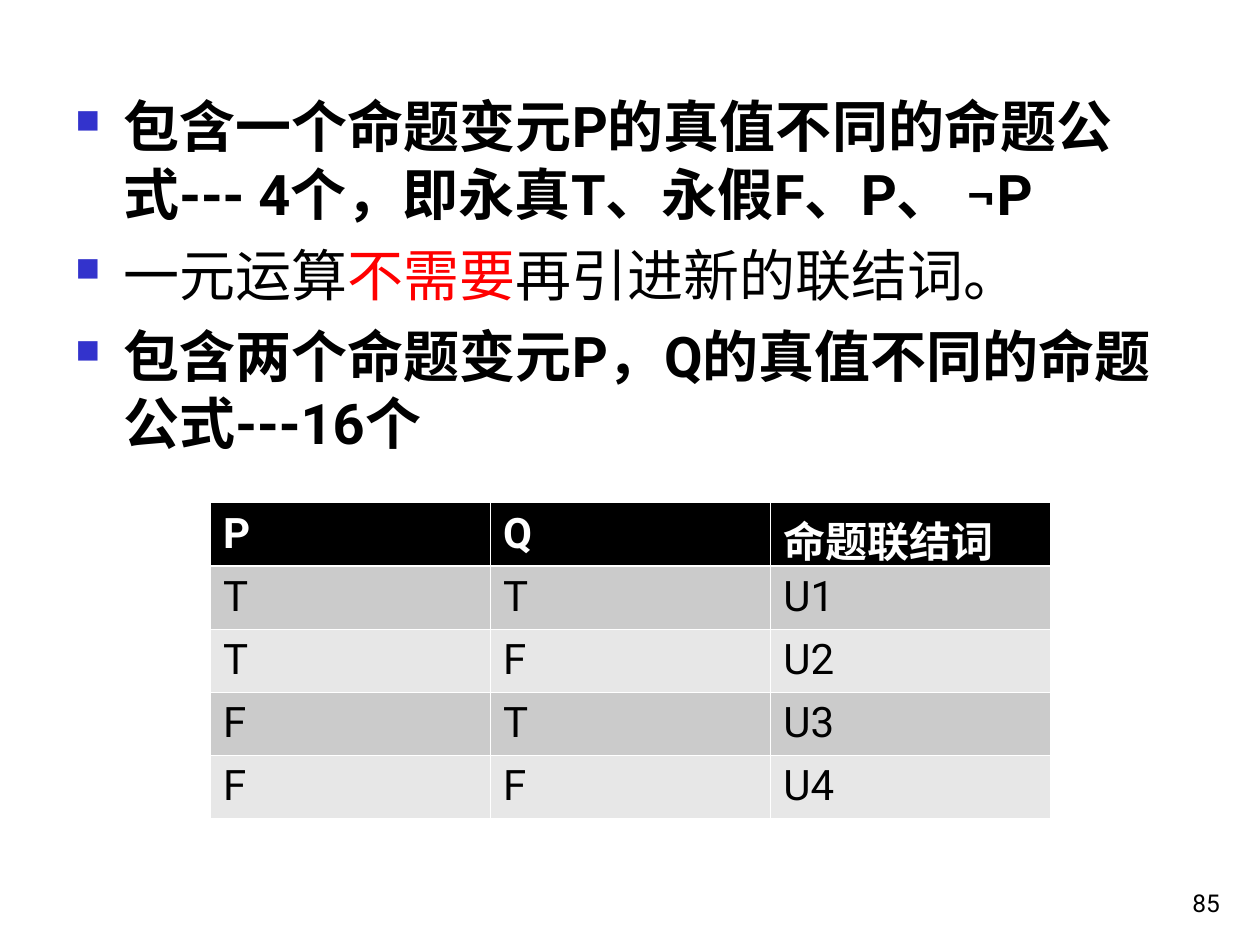
from lxml.etree import SubElement
from pptx import Presentation
from pptx.dml.color import RGBColor
from pptx.enum.text import MSO_ANCHOR, PP_ALIGN
from pptx.oxml.ns import qn
from pptx.util import Inches, Pt

BLACK = RGBColor(0x00, 0x00, 0x00)
WHITE = RGBColor(0xFF, 0xFF, 0xFF)
RED = RGBColor(0xFF, 0x00, 0x00)
BULLET_BLUE = RGBColor(0x33, 0x33, 0xCC)
DARK_BAND = RGBColor(0xCB, 0xCB, 0xCB)
LIGHT_BAND = RGBColor(0xE7, 0xE7, 0xE7)

# Each bullet is a list of (text, colour, bold) runs.
BULLETS = [
    [("包含一个命题变元P的真值不同的命题公式--- 4个，即永真T、永假F、P、 ¬P", BLACK, True)],
    [("一元运算", BLACK, False), ("不需要", RED, False),
     ("再引进新的联结词。", BLACK, False)],
    [("包含两个命题变元P，Q的真值不同的命题公式---16个", BLACK, True)],
]
TRUTH_TABLE = [
    ("P", "Q", "命题联结词"),
    ("T", "T", "U1"),
    ("T", "F", "U2"),
    ("F", "T", "U3"),
    ("F", "F", "U4"),
]


class SlideBuilder:
    font_name = "Roboto"
    body_size = Pt(32)
    table_size = Pt(24)
    number_size = Pt(14)
    thin_line = Pt(0.45)
    header_line = Pt(1.47)

    def __init__(self, page):
        self.page = page

    def add_span(self, para, text, size, color=BLACK, bold=False):
        span = para.add_run()
        span.text = text
        span.font.name = self.font_name
        span.font.size = size
        span.font.bold = bold
        span.font.color.rgb = color

    def add_text_box(self, left, top, width, height):
        box = self.page.shapes.add_textbox(
            Inches(left), Inches(top), Inches(width), Inches(height))
        box.text_frame.word_wrap = True
        return box.text_frame

    def set_bullet(self, para):
        """Give the paragraph a small blue square and a hanging indent."""
        properties = para._p.get_or_add_pPr()
        properties.set("marL", str(Inches(0.38)))
        properties.set("indent", str(-Inches(0.38)))
        color = SubElement(properties, qn("a:buClr"))
        SubElement(color, qn("a:srgbClr"), val=str(BULLET_BLUE))
        SubElement(properties, qn("a:buSzPct"), val="60000")
        SubElement(properties, qn("a:buChar"), char="■")

    def add_bullets(self, bullets, left, top, width, height):
        frame = self.add_text_box(left, top, width, height)
        for index, runs in enumerate(bullets):
            para = frame.add_paragraph() if index else frame.paragraphs[0]
            self.set_bullet(para)
            if index:
                para.space_before = Pt(8)
            for text, color, bold in runs:
                self.add_span(para, text, self.body_size, color, bold)

    def set_borders(self, cell, top, bottom):
        """Draw white borders; only the top and bottom widths vary."""
        properties = cell._tc.get_or_add_tcPr()
        widths = {"L": self.thin_line, "R": self.thin_line, "T": top, "B": bottom}
        for side, width in widths.items():
            line = SubElement(properties, qn(f"a:ln{side}"), w=str(width))
            fill = SubElement(line, qn("a:solidFill"))
            SubElement(fill, qn("a:srgbClr"), val=str(WHITE))

    def add_table(self, rows, left, top, width, height):
        table = self.page.shapes.add_table(
            len(rows), len(rows[0]),
            Inches(left), Inches(top), Inches(width), Inches(height)).table
        for row_index, row in enumerate(rows):
            is_header = row_index == 0
            band = DARK_BAND if row_index % 2 else LIGHT_BAND
            above = self.header_line if row_index == 1 else self.thin_line
            below = self.header_line if is_header else self.thin_line
            for column_index, text in enumerate(row):
                cell = table.cell(row_index, column_index)
                self.set_borders(cell, above, below)
                cell.fill.solid()
                cell.fill.fore_color.rgb = BLACK if is_header else band
                self.add_span(cell.text_frame.paragraphs[0], text, self.table_size,
                              WHITE if is_header else BLACK, is_header)

    def add_page_number(self, number, left, top, width, height):
        frame = self.add_text_box(left, top, width, height)
        frame.vertical_anchor = MSO_ANCHOR.BOTTOM
        para = frame.paragraphs[0]
        para.alignment = PP_ALIGN.RIGHT
        self.add_span(para, number, self.number_size)


def main():
    deck = Presentation()
    deck.slide_width = Inches(10)
    deck.slide_height = Inches(7.5)
    builder = SlideBuilder(deck.slides.add_slide(deck.slide_layouts[6]))
    builder.add_bullets(BULLETS, 0.5, 0.68, 9, 4.95)
    builder.add_table(TRUTH_TABLE, 1.67, 3.99, 6.67, 2.5)
    builder.add_page_number("85", 7.7, 6.83, 2.08, 0.5)
    deck.save("out.pptx")


if __name__ == "__main__":
    main()
